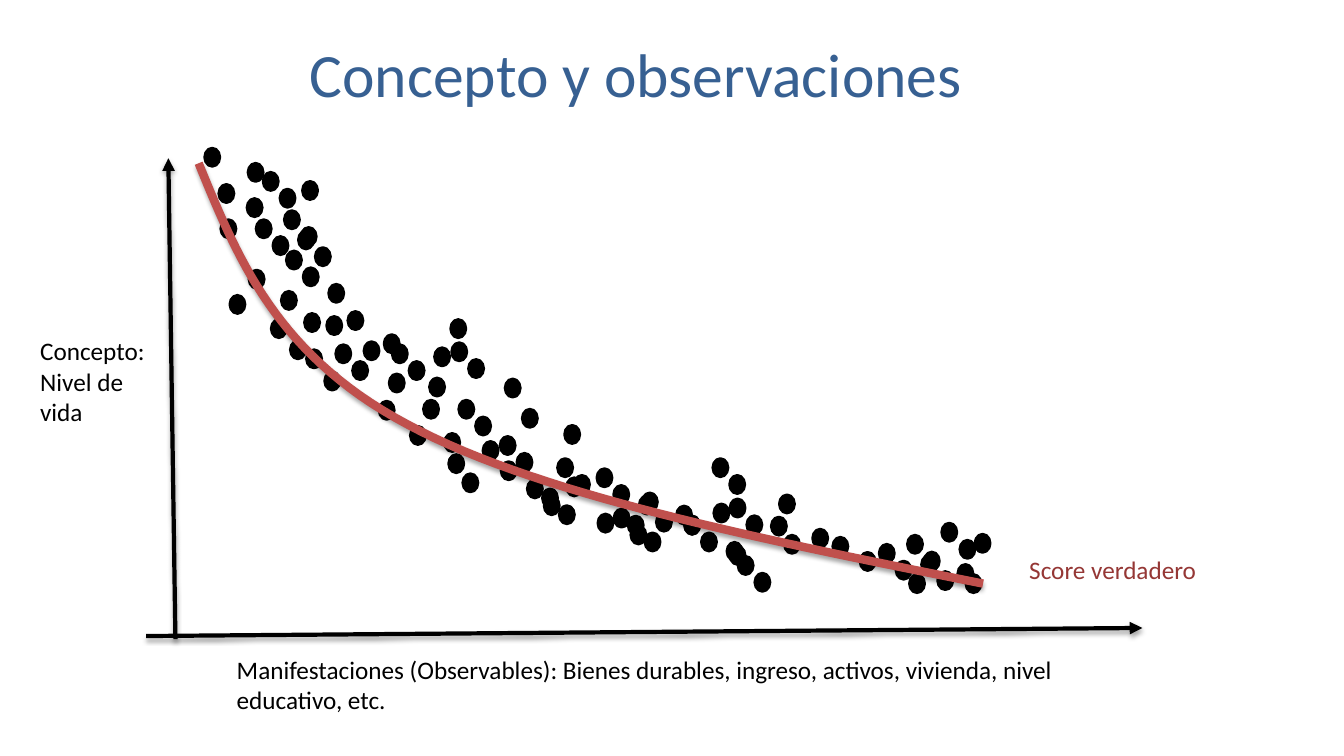
from lxml import etree
from pptx import Presentation
from pptx.dml.color import RGBColor
from pptx.enum.shapes import MSO_CONNECTOR, MSO_SHAPE
from pptx.enum.text import MSO_ANCHOR, PP_ALIGN
from pptx.oxml import parse_xml
from pptx.oxml.ns import qn
from pptx.util import Inches, Pt

STRAIGHT = MSO_CONNECTOR.STRAIGHT
OVAL = MSO_SHAPE.OVAL
MIDDLE = MSO_ANCHOR.MIDDLE
LEFT, CENTER = PP_ALIGN.LEFT, PP_ALIGN.CENTER

COLORS = {"title": "376092", "ink": "000000", "curve": "C0504D", "score": "953735"}
RGB = {name: RGBColor.from_string(value) for name, value in COLORS.items()}
SHADOW = (
    '<a:effectLst xmlns:a="http://schemas.openxmlformats.org/drawingml/2006/main">'
    '<a:outerShdw blurRad="40000" dist="23000" dir="5400000" rotWithShape="0">'
    '<a:srgbClr val="000000"><a:alpha val="35000"/></a:srgbClr>'
    '</a:outerShdw></a:effectLst>'
)

DOT_WIDTH, DOT_HEIGHT = 0.15, 0.18
PAIR_STEP = 1 / 6
CLUSTER = [(0, 0), (0.56, 0), (0.28, -0.03), (0.48, -0.1)]
CLUSTER_ORIGINS = [(3.33, 3.42), (6.23, 5.12), (9.02, 5.7)]
PAIR_STARTS = {
    "steep": [(2.54, 2.18), (2.61, 1.71), (2.82, 2.09), (2.84, 2.49), (2.96, 2.29)],
    "bend": [(3.33, 3.42), (3.89, 3.42), (4.48, 3.4), (4.55, 3.97), (4.96, 4.33)],
    "slope": [(5.23, 4.76), (5.38, 4.85), (5.53, 4.55), (5.92, 4.65), (6.09, 5.05),
              (6.23, 5.12), (6.79, 5.12)],
    "tail": [(7.07, 4.55), (7.24, 4.95), (7.32, 5.52), (8.72, 5.4), (9, 5.31)],
}
SCATTERED = {
    "steep": [(2.03, 1.47), (2.17, 1.83), (2.19, 2.18), (2.28, 2.93), (2.45, 1.97),
              (2.46, 1.62), (2.47, 2.68), (2.69, 3.17), (2.79, 2.89), (2.88, 3.38),
              (3, 1.8), (3.02, 3.11), (3.04, 3.47), (3.22, 3.69), (3.24, 3.14),
              (3.26, 2.82), (3.45, 3.09)],
    "bend": [(3.76, 3.98), (3.86, 3.71), (4.07, 4.23), (4.2, 3.97), (4.26, 3.75),
             (4.31, 3.45), (4.41, 4.3), (4.45, 4.51), (4.47, 3.17), (4.59, 4.7),
             (4.79, 4.38), (4.97, 4.58), (5.01, 3.76), (5.18, 4.06)],
    "slope": [(5.6, 4.22), (5.62, 4.74), (5.93, 5.1), (6.34, 4.92), (6.37, 4.89)],
    "tail": [(7.08, 5), (7.21, 5.38), (7.24, 5.42), (7.65, 5.13), (7.73, 4.91),
             (7.78, 5.31), (8.06, 5.25), (8.26, 5.33), (8.53, 5.48), (9.14, 5.51),
             (9.34, 5.19), (9.52, 5.36), (9.67, 5.3)],
}

AXES = {"concept": (1.74, 6.34, 1.67, 1.57), "observables": (1.45, 6.31, 11.33, 6.23)}
CURVE_START = (1.97, 1.62)
CURVE_BEND = (4.04, 4.21)
CURVE_END = (9.75, 5.79)
CURVE_PIECES = [
    (CURVE_START, (2.36, 2.57), (2.74, 3.52), CURVE_BEND),
    (CURVE_BEND, (5.33, 4.91), (7.54, 5.35), CURVE_END),
]
CURVE_STEPS = 30


def write(tf, text, size=18, color="ink", align=LEFT):
    tf.word_wrap = True
    for i, line in enumerate(text.split("\n")):
        p = tf.paragraphs[0] if i == 0 else tf.add_paragraph()
        p.alignment = align
        r = p.add_run()
        r.text = line
        r.font.name = "Calibri"
        r.font.size = Pt(size)
        r.font.color.rgb = RGB[color]


def style_line(sp, color, width):
    sp.line.color.rgb = RGB[color]
    sp.line.width = Pt(width)
    sp._element.spPr.append(parse_xml(SHADOW))


prs = Presentation()
prs.slide_width = Inches(13.33)
prs.slide_height = Inches(7.5)
slide = prs.slides.add_slide(prs.slide_layouts[5])

title = slide.shapes.title
title.left, title.top, title.width, title.height = map(Inches, (0.56, 0.16, 11.5, 1.12))
title.text_frame.vertical_anchor = MIDDLE
write(title.text_frame, "Concepto y observaciones", size=44, color="title", align=CENTER)

clusters = {(x + dx, y + dy) for x, y in CLUSTER_ORIGINS for dx, dy in CLUSTER}
observations = set(clusters)
for region, starts in PAIR_STARTS.items():
    observations.update(starts)
    observations.update((x + PAIR_STEP, y + PAIR_STEP) for x, y in starts)
    observations.update(SCATTERED[region])

for x, y in sorted(observations):
    dot = slide.shapes.add_shape(OVAL, *map(Inches, (x, y, DOT_WIDTH, DOT_HEIGHT)))
    dot.fill.solid()
    dot.fill.fore_color.rgb = RGB["ink"]
    dot.line.color.rgb = RGB["ink"]
    dot.line.width = Pt(2)
    dot.shadow.inherit = False

for ends in AXES.values():
    axis = slide.shapes.add_connector(STRAIGHT, *map(Inches, ends))
    style_line(axis, "ink", 3)
    etree.SubElement(axis.line._get_or_add_ln(), qn("a:tailEnd"), type="triangle")

curve_points = []
for piece in CURVE_PIECES:
    for step in range(1, CURVE_STEPS + 1):
        t = step / CURVE_STEPS
        u = 1 - t
        weights = (u ** 3, 3 * t * u ** 2, 3 * t ** 2 * u, t ** 3)
        x = sum(w * px for w, (px, py) in zip(weights, piece))
        y = sum(w * py for w, (px, py) in zip(weights, piece))
        curve_points.append((Inches(x), Inches(y)))
builder = slide.shapes.build_freeform(*map(Inches, CURVE_START))
builder.add_line_segments(curve_points, close=False)
curve = builder.convert_to_shape()
curve.fill.background()
style_line(curve, "curve", 6)

labels = [
    ((0.3, 3.28, 1.44, 1.01), "Concepto:\nNivel de vida", "ink"),
    ((2.25, 6.44, 8.43, 0.71),
     "Manifestaciones (Observables): Bienes durables, ingreso, activos, vivienda, "
     "nivel educativo, etc.", "ink"),
    ((10.11, 5.45, 1.86, 0.4), "Score verdadero", "score"),
]
for box, text, color in labels:
    label = slide.shapes.add_textbox(*map(Inches, box))
    write(label.text_frame, text, color=color)

prs.save("out.pptx")
